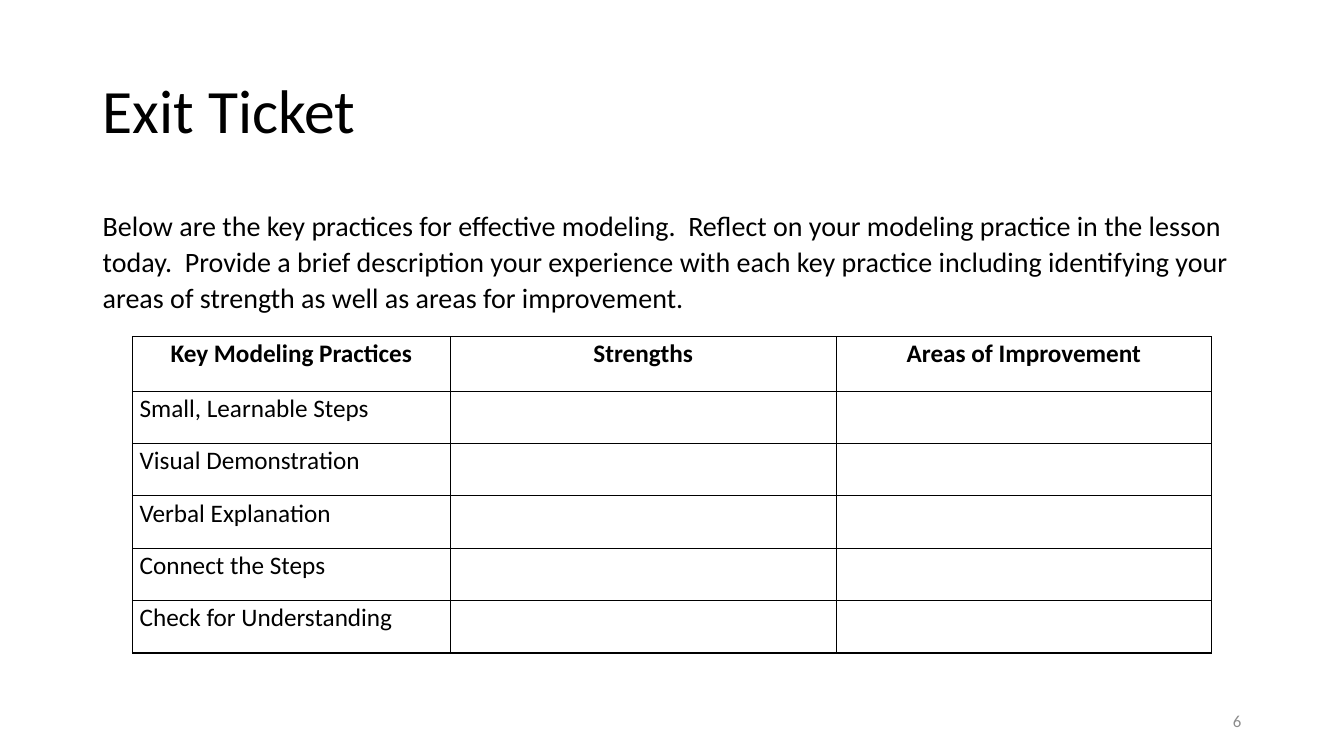
from lxml.etree import SubElement
from pptx import Presentation
from pptx.dml.color import RGBColor
from pptx.enum.text import MSO_ANCHOR as Anchor, PP_ALIGN as Align
from pptx.oxml.ns import qn
from pptx.util import Inches, Pt

TITLE = "Exit Ticket"
PROMPT = (
    "Below are the key practices for effective modeling.  Reflect on your modeling "
    "practice in the lesson today.  Provide a brief description your experience with "
    "each key practice including identifying your areas of strength as well as areas "
    "for improvement."
)
HEADINGS = ["Key Modeling Practices", "Strengths", "Areas of Improvement"]
PRACTICES = [
    "Small, Learnable Steps",
    "Visual Demonstration",
    "Verbal Explanation",
    "Connect the Steps",
    "Check for Understanding",
]
PAGE_NUMBER = "6"

COLORS = {"ink": "000000", "muted": "8C8C8C"}
FONT = "Calibri"
WIDTH, HEIGHT = 13.33, 7.5
MARGIN = 0.92
CONTENT_WIDTH = WIDTH - 2 * MARGIN
COLUMN_WIDTHS = [3.15, 3.83, 3.72]
ROW_HEIGHTS = [0.54] + [0.52] * len(PRACTICES)
TABLE_LEFT, TABLE_TOP = (WIDTH - sum(COLUMN_WIDTHS)) / 2, 3.34


def write(frame, text, size, color="ink", bold=False, align=Align.LEFT,
          line_spacing=1.0, space_after=0):
    paragraph = frame.paragraphs[0]
    paragraph.text = text
    paragraph.alignment = align
    paragraph.line_spacing = line_spacing
    paragraph.space_after = Pt(space_after)
    paragraph.font.name = FONT
    paragraph.font.size = Pt(size)
    paragraph.font.bold = bold
    paragraph.font.color.rgb = RGBColor.from_string(COLORS[color])


def add_text(slide, box, text, size, anchor=Anchor.TOP, **style):
    frame = slide.shapes.add_textbox(*map(Inches, box)).text_frame
    frame.word_wrap = True
    frame.vertical_anchor = anchor
    write(frame, text, size, **style)


def add_borders(cell):
    properties = cell._tc.get_or_add_tcPr()
    for side in ("lnL", "lnR", "lnT", "lnB"):
        line = SubElement(properties, qn(f"a:{side}"), w=str(Pt(1)))
        fill = SubElement(line, qn("a:solidFill"))
        SubElement(fill, qn("a:srgbClr"), val=COLORS["ink"])


def add_practice_table(slide):
    rows = [HEADINGS] + [[practice, "", ""] for practice in PRACTICES]
    table = slide.shapes.add_table(
        len(rows), len(HEADINGS), Inches(TABLE_LEFT), Inches(TABLE_TOP),
        Inches(sum(COLUMN_WIDTHS)), Inches(sum(ROW_HEIGHTS)),
    ).table
    table.first_row = table.horz_banding = False
    for column, width in zip(table.columns, COLUMN_WIDTHS):
        column.width = Inches(width)
    for row, height in zip(table.rows, ROW_HEIGHTS):
        row.height = Inches(height)
    for r, row in enumerate(rows):
        for c, text in enumerate(row):
            cell = table.cell(r, c)
            add_borders(cell)
            cell.fill.background()
            cell.margin_left = cell.margin_right = Inches(0.07)
            cell.margin_top = cell.margin_bottom = 0
            write(cell.text_frame, text, 18, bold=r == 0,
                  align=Align.CENTER if r == 0 else Align.LEFT,
                  line_spacing=1.07, space_after=8)


def main():
    deck = Presentation()
    deck.slide_width, deck.slide_height = Inches(WIDTH), Inches(HEIGHT)
    slide = deck.slides.add_slide(deck.slide_layouts[6])
    add_text(slide, (MARGIN, 0.4, CONTENT_WIDTH, 1.45), TITLE, 44,
             anchor=Anchor.MIDDLE, line_spacing=0.9)
    add_text(slide, (MARGIN, 2, CONTENT_WIDTH, 4.76), PROMPT, 20,
             line_spacing=1.07, space_after=8)
    add_practice_table(slide)
    add_text(slide, (WIDTH - MARGIN - 3, 6.95, 3, 0.4), PAGE_NUMBER, 12,
             anchor=Anchor.MIDDLE, color="muted", align=Align.RIGHT)
    deck.save("out.pptx")


if __name__ == "__main__":
    main()
